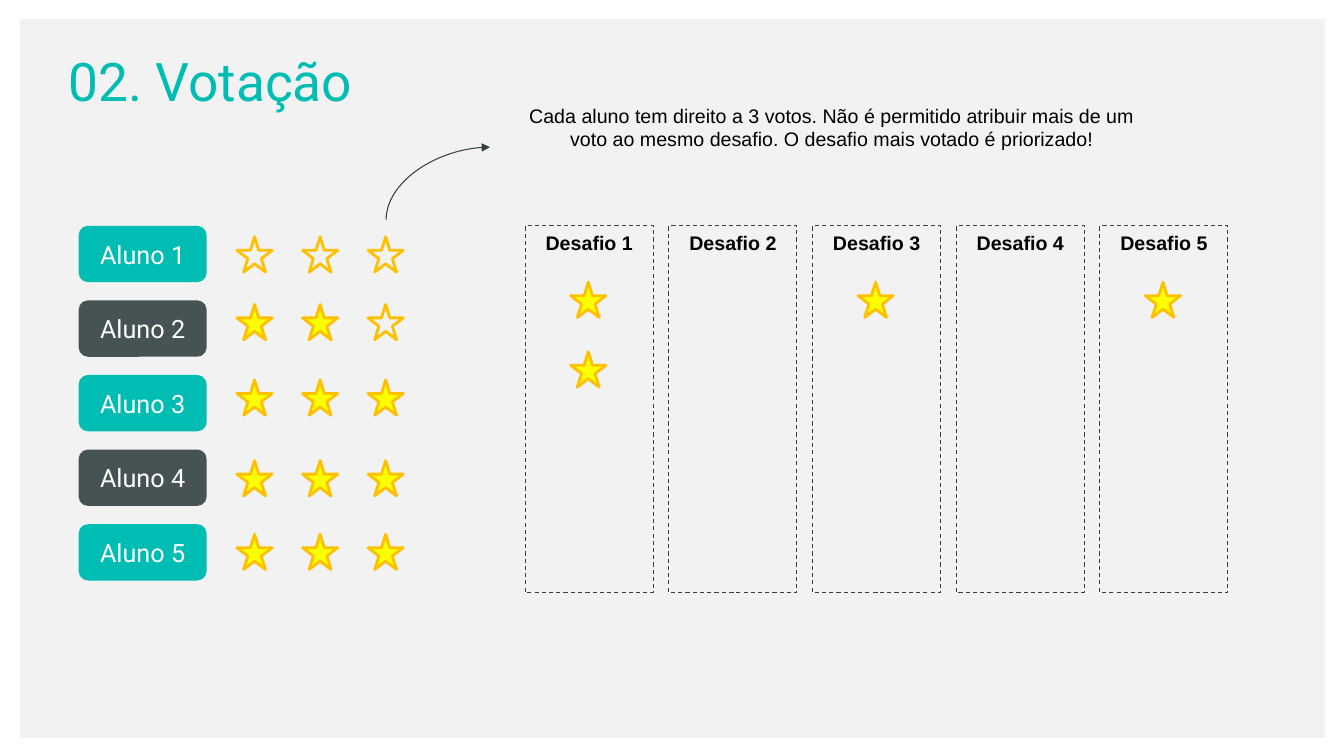
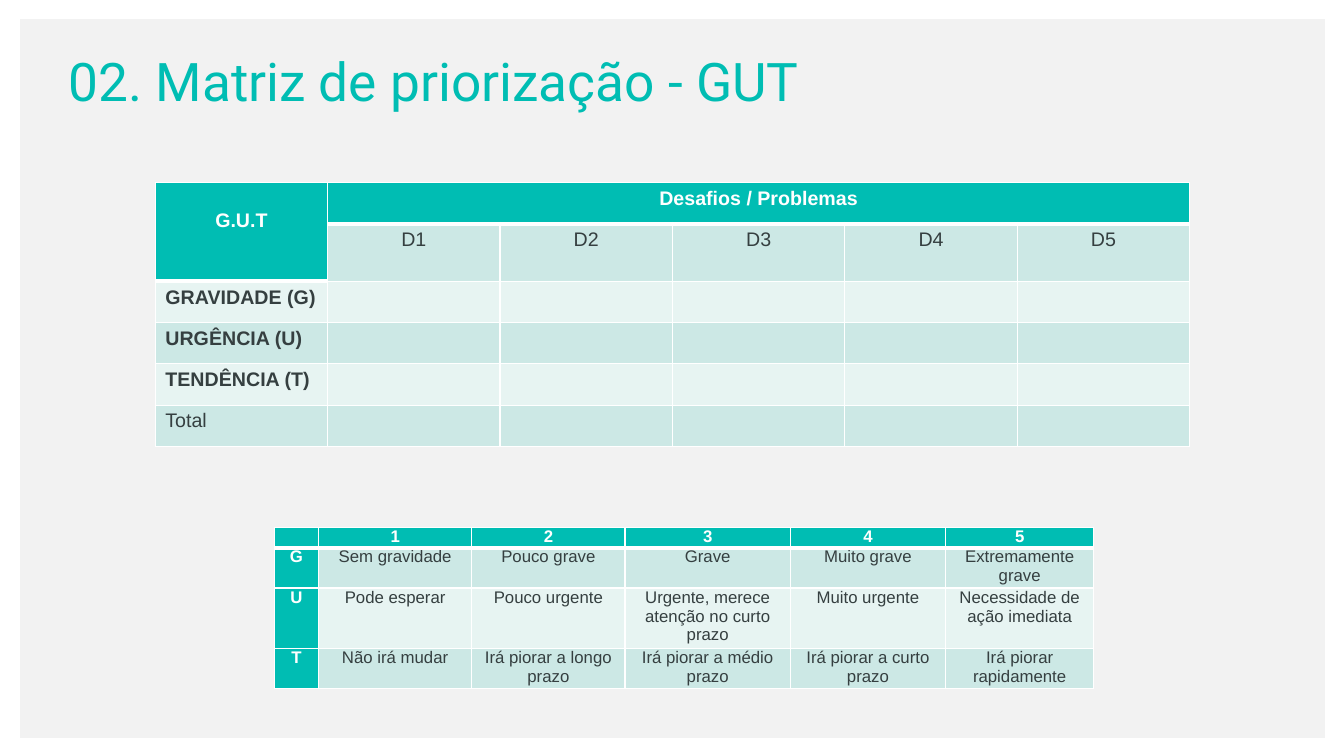
from lxml import etree
from pptx import Presentation
from pptx.dml.color import RGBColor
from pptx.enum.dml import MSO_LINE
from pptx.enum.shapes import MSO_CONNECTOR, MSO_SHAPE
from pptx.enum.text import MSO_ANCHOR, PP_ALIGN
from pptx.oxml.ns import qn
from pptx.util import Inches, Pt

RECT, ROUNDED, STAR = MSO_SHAPE.RECTANGLE, MSO_SHAPE.ROUNDED_RECTANGLE, MSO_SHAPE.STAR_5_POINT
CURVE, DASH = MSO_CONNECTOR.CURVE, MSO_LINE.DASH
LEFT, CENTER = PP_ALIGN.LEFT, PP_ALIGN.CENTER
TOP, MIDDLE = MSO_ANCHOR.TOP, MSO_ANCHOR.MIDDLE

TEAL, SLATE, INK, PANEL = "00BDB3", "465354", "353F40", "F2F2F2"
WHITE, BLACK = "FFFFFF", "000000"
BAND_DARK, BAND_LIGHT = "CCE8E5", "E7F4F2"
YELLOW, AMBER = "FFFF00", "FFC000"

TITLE = dict(name="Roboto", size=Pt(38), color=TEAL)
STUDENT = dict(name="Roboto", size=Pt(18), color=WHITE)
BODY = dict(name="Arial", size=Pt(14), color=BLACK)
STRONG = dict(BODY, bold=True)
CELL = dict(BODY, color=INK, bold=False)
CELL_STRONG = dict(CELL, bold=True)
CELL_HEAD = dict(CELL, color=WHITE, bold=True)
SMALL, SMALL_HEAD = dict(CELL, size=Pt(12)), dict(CELL_HEAD, size=Pt(12))


def rgb(value):
    return RGBColor.from_string(value)


def inches(*values):
    return [Inches(value) for value in values]


class Deck:
    """Holds the shared style and the current slide."""

    def __init__(self):
        self.prs = Presentation()
        self.prs.slide_width, self.prs.slide_height = inches(13.33, 7.5)
        self.layout = self.prs.slide_layouts[5]
        self.slide = None

    def new_slide(self, title):
        self.slide = self.prs.slides.add_slide(self.layout)
        if len(self.prs.slides) == 1:
            # The grey panel moves to the layout, so every slide shows it
            panel = self.shape(RECT, 0.2, 0.19, 12.94, 7.13, fill=PANEL)
            self.layout.shapes._spTree.insert(2, panel._element)
        heading = self.slide.shapes.title
        heading.left, heading.top, heading.width, heading.height = inches(0.58, 0.43, 9.23, 0.74)
        self.fill_text(heading.text_frame, title, TITLE, LEFT, TOP)

    def fill_text(self, frame, text, style, align=CENTER, anchor=TOP):
        frame.word_wrap = True
        frame.vertical_anchor = anchor
        self.text_line(frame.paragraphs[0], text, style, align)

    def text_line(self, paragraph, text, style, align):
        paragraph.alignment = align
        run = paragraph.add_run()
        run.text = text
        for key, value in style.items():
            if key == "color":
                run.font.color.rgb = rgb(value)
            else:
                setattr(run.font, key, value)

    def shape(self, kind, x, y, w, h, fill=None, line=None, weight=1, dash=None):
        shape = self.slide.shapes.add_shape(kind, *inches(x, y, w, h))
        shape.shadow.inherit = False
        if fill:
            shape.fill.solid()
            shape.fill.fore_color.rgb = rgb(fill)
        else:
            shape.fill.background()
        if line:
            shape.line.color.rgb = rgb(line)
            shape.line.width = Pt(weight)
            shape.line.dash_style = dash
        else:
            shape.line.fill.background()
        return shape

    def star(self, x, y, filled=True):
        self.shape(STAR, x, y, 0.35, 0.35, YELLOW if filled else None, AMBER, 2)

    def text(self, text, x, y, w, h, style):
        box = self.slide.shapes.add_textbox(*inches(x, y, w, h))
        self.fill_text(box.text_frame, text, style)

    def curved_arrow(self, x1, y1, x2, y2, color):
        """Leaves upwards and arrives to the right: a quarter-turned connector."""
        mid_x, mid_y = (x1 + x2) / 2, (y1 + y2) / 2
        half_w, half_h = abs(y2 - y1) / 2, abs(x2 - x1) / 2
        arrow = self.slide.shapes.add_connector(CURVE, *inches(
            mid_x + half_w, mid_y + half_h, mid_x - half_w, mid_y - half_h))
        arrow.line.color.rgb = rgb(color)
        arrow.line.width = Pt(0.75)
        props = arrow._element.spPr
        props.find(qn("a:xfrm")).set("rot", str(90 * 60000))
        props.find(qn("a:prstGeom")).set("prst", "curvedConnector2")
        etree.SubElement(props.find(qn("a:ln")), qn("a:tailEnd"), type="triangle")
        etree.SubElement(props, qn("a:effectLst"))

    def table(self, x, y, widths, heights):
        frame = self.slide.shapes.add_table(
            len(heights), len(widths), *inches(x, y, sum(widths), sum(heights)))
        table = frame.table
        table.horz_banding = False
        for column, width in zip(table.columns, widths):
            column.width = Inches(width)
        for row, height in zip(table.rows, heights):
            row.height = Inches(height)
        return table

    def cell(self, cell, text, style, fill, align=CENTER, top=1, bottom=1, margins=None):
        props = cell._tc.get_or_add_tcPr()
        for side, weight in (("L", 1), ("R", 1), ("T", top), ("B", bottom)):
            edge = etree.SubElement(props, qn(f"a:ln{side}"), w=str(Pt(weight)))
            color = etree.SubElement(edge, qn("a:solidFill"))
            etree.SubElement(color, qn("a:srgbClr"), val=WHITE)
        cell.fill.solid()
        cell.fill.fore_color.rgb = rgb(fill)
        for side, margin in (margins or {}).items():
            setattr(cell, f"margin_{side}", Inches(margin))
        paragraph = cell.text_frame.paragraphs[0]
        if text:
            self.text_line(paragraph, text, style, align)
        else:
            etree.SubElement(paragraph._p, qn("a:endParaRPr"), sz=str(int(style["size"].pt * 100)))


def voting_slide(deck):
    deck.new_slide("02. Votação")

    # Students and the votes they have
    star_rows = [2.35, 3.02, 3.77, 4.57, 5.3]
    votes_cast = [0, 2, 3, 3, 3]
    for row, (star_y, cast) in enumerate(zip(star_rows, votes_cast)):
        student = deck.shape(ROUNDED, 0.78, 2.24 + 0.74 * row, 1.27, 0.56,
                             SLATE if row % 2 else TEAL)
        deck.fill_text(student.text_frame, f"Aluno {row + 1}", STUDENT, anchor=MIDDLE)
        for vote in range(3):
            deck.star(2.35 + 0.65 * vote, star_y, vote < cast)

    # Challenges and the votes they got
    votes_received = [2, 0, 1, 0, 1]
    first_x, last_x = 5.21, 10.91
    for index, received in enumerate(votes_received):
        x = first_x + (last_x - first_x) / 4 * index
        challenge = deck.shape(RECT, x, 2.24, 1.27, 3.64, line=INK, weight=0.75, dash=DASH)
        deck.fill_text(challenge.text_frame, f"Desafio {index + 1}", STRONG)
        for vote in range(received):
            deck.star(x + 0.45, 2.8 + 0.69 * vote)

    # Voting rule
    deck.curved_arrow(3.83, 2.18, 4.86, 1.46, "343E3F")
    deck.text("Cada aluno tem direito a 3 votos. Não é permitido atribuir mais de um voto "
              "ao mesmo desafio. O desafio mais votado é priorizado!",
              5.14, 0.98, 6.22, 0.57, BODY)


def matrix_slide(deck):
    deck.new_slide("02. Matriz de priorização - GUT")

    # Scoring matrix
    rows = [
        ["G.U.T", "Desafios / Problemas", "", "", "", ""],
        ["", "D1", "D2", "D3", "D4", "D5"],
        ["GRAVIDADE (G)"] + [""] * 5,
        ["URGÊNCIA (U)"] + [""] * 5,
        ["TENDÊNCIA (T)"] + [""] * 5,
        ["Total"] + [""] * 5,
    ]
    matrix = deck.table(1.54, 1.81, [1.71] * 6, [0.41, 0.57] + [0.41] * 4)
    matrix.cell(0, 0).merge(matrix.cell(1, 0))
    matrix.cell(0, 1).merge(matrix.cell(0, 5))
    for r, row in enumerate(rows):
        for c, text in enumerate(row):
            head = r == 0 or (r == 1 and c == 0)
            label = c == 0 and 2 <= r <= 4
            header_end = 1 if c == 0 else 0
            deck.cell(
                matrix.cell(r, c), text,
                CELL_HEAD if head else CELL_STRONG if label else CELL,
                TEAL if head else BAND_DARK if r % 2 else BAND_LIGHT,
                LEFT if c == 0 and r > 1 else CENTER,
                top=3 if r == header_end + 1 else 1,
                bottom=3 if r == header_end or (r, c) == (0, 0) else 1,
                margins={"top": 0.27} if (r, c) == (0, 0) else None)

    # Meaning of the scores
    scores = [
        ["", "1", "2", "3", "4", "5"],
        ["G", "Sem gravidade", "Pouco grave", "Grave", "Muito grave", "Extremamente grave"],
        ["U", "Pode esperar", "Pouco urgente", "Urgente, merece atenção no curto prazo",
         "Muito urgente", "Necessidade de ação imediata"],
        ["T", "Não irá mudar", "Irá piorar a longo prazo", "Irá piorar a médio prazo",
         "Irá piorar a curto prazo", "Irá piorar rapidamente"],
    ]
    tight = dict(left=0.07, right=0.07, top=0, bottom=0)
    legend = deck.table(2.72, 5.23, [0.44, 1.52, 1.52, 1.64, 1.54, 1.47], [0.2, 0.4, 0.6, 0.4])
    for r, row in enumerate(scores):
        for c, text in enumerate(row):
            head = r == 0 or c == 0
            deck.cell(
                legend.cell(r, c), text, SMALL_HEAD if head else SMALL,
                TEAL if head else BAND_DARK if r % 2 else BAND_LIGHT,
                top=3 if r == 1 else 1, bottom=3 if r == 0 else 1, margins=tight)


def main():
    deck = Deck()
    voting_slide(deck)
    matrix_slide(deck)
    deck.prs.save("out.pptx")


if __name__ == "__main__":
    main()
